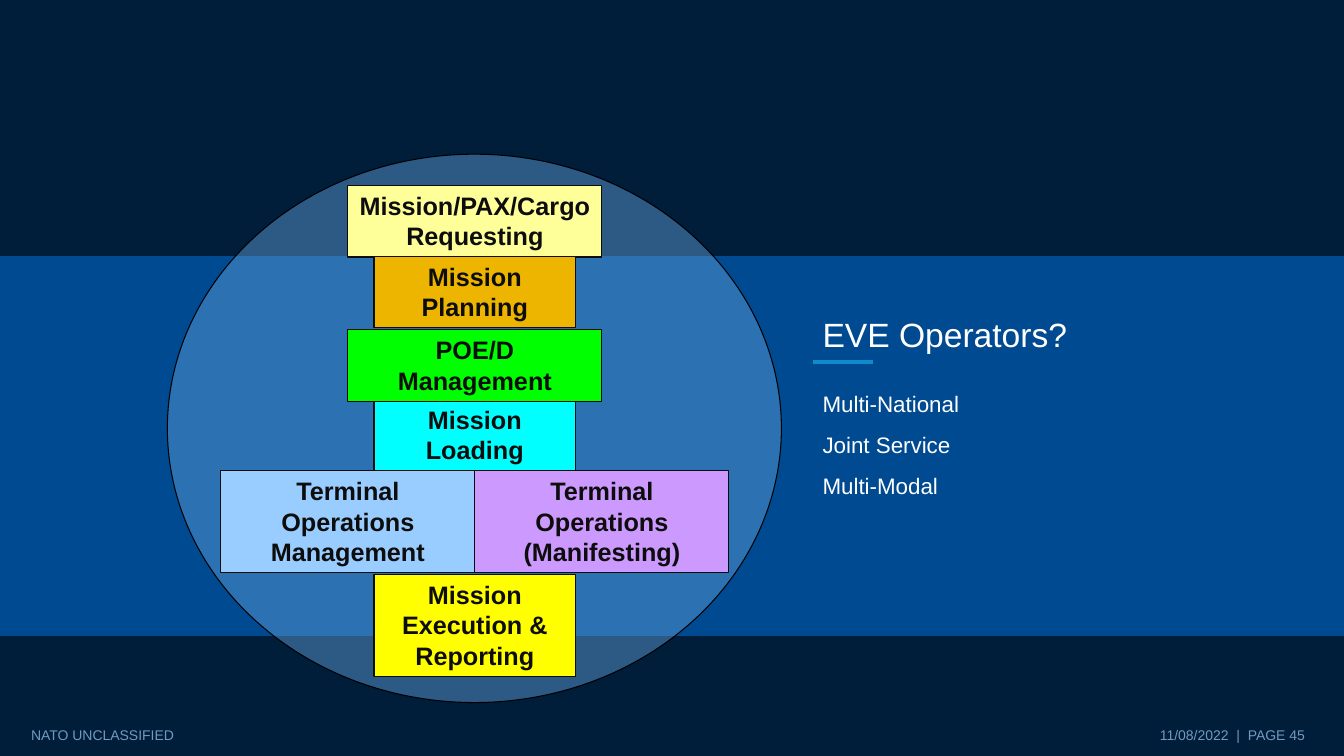
from lxml.etree import SubElement
from pptx import Presentation
from pptx.dml.color import RGBColor
from pptx.enum.shapes import MSO_CONNECTOR, MSO_SHAPE
from pptx.enum.text import MSO_ANCHOR, PP_ALIGN
from pptx.oxml.ns import qn
from pptx.util import Inches, Pt

COLORS = {
    "background": "001D39", "band": "004A91", "accent": "118ACB",
    "footer": "719AC1", "white": "FFFFFF", "ink": "0D0D0D",
    "black": "000000", "circle": "5B9BD5",
    "request": "FFFF99", "plan": "EEB500", "manage": "00FF00",
    "load": "00FFFF", "terminal": "99CCFF", "manifest": "CC99FF",
    "execute": "FFFF00",
}

# Content
TITLE = "EVE Operators?"
OPERATORS = ["Multi-National", "Joint Service", "Multi-Modal"]
CLASSIFICATION = "NATO UNCLASSIFIED"
PAGE_LABEL = "11/08/2022  |  PAGE 45"
WIDE, NARROW = 2.52, 2.0
TWO_LINES, THREE_LINES = 0.71, 1.01
# Each row: top, height, box width, boxes as (text, color)
STACK = [
    (1.84, TWO_LINES, WIDE, [("Mission/PAX/Cargo Requesting", "request")]),
    (2.54, TWO_LINES, NARROW, [("Mission Planning", "plan")]),
    (3.96, TWO_LINES, NARROW, [("Mission Loading", "load")]),
    (3.27, TWO_LINES, WIDE, [("POE/D Management", "manage")]),
    (5.70, THREE_LINES, NARROW, [("Mission Execution & Reporting", "execute")]),
    (4.67, THREE_LINES, WIDE, [("Terminal Operations Management", "terminal"),
                               ("Terminal Operations (Manifesting)", "manifest")]),
]

# Layout
SLIDE_WIDTH, SLIDE_HEIGHT = 13.33, 7.5
STACK_CENTER = 4.71
BAND_TOP, BAND_HEIGHT = 2.54, 3.77
TEXT_LEFT, TEXT_WIDTH = 8.06, 5.2
FOOTER_TOP, FOOTER_HEIGHT = 7.09, 0.4


def color(name):
    return RGBColor.from_string(COLORS[name])


def write(shape, *texts, size, ink, bold=False, align=PP_ALIGN.LEFT,
          anchor=MSO_ANCHOR.TOP, line_spacing=None, gap=0):
    frame = shape.text_frame
    frame.word_wrap = True
    frame.vertical_anchor = anchor
    for index, text in enumerate(texts):
        paragraph = frame.add_paragraph() if index else frame.paragraphs[0]
        paragraph.text = text
        paragraph.alignment = align
        if line_spacing:
            paragraph.line_spacing = Pt(line_spacing)
        if index:
            paragraph.space_before = Pt(gap)
        font = paragraph.font
        font.name, font.size, font.bold = "Arial", Pt(size), bold
        font.color.rgb = color(ink)


def add_block(slide, kind, box, fill, outline=None):
    shape = slide.shapes.add_shape(kind, *map(Inches, box))
    shape.shadow.inherit = False
    shape.fill.solid()
    shape.fill.fore_color.rgb = color(fill)
    if outline:
        shape.line.color.rgb = color(outline)
        shape.line.width = Pt(0.75)
    else:
        shape.line.fill.background()
    return shape


def add_text(slide, box, *texts, **style):
    write(slide.shapes.add_textbox(*map(Inches, box)), *texts, **style)


def main():
    presentation = Presentation()
    presentation.slide_width = Inches(SLIDE_WIDTH)
    presentation.slide_height = Inches(SLIDE_HEIGHT)
    slide = presentation.slides.add_slide(presentation.slide_layouts[6])
    slide.background.fill.solid()
    slide.background.fill.fore_color.rgb = color("background")

    # Band and accent line
    add_block(slide, MSO_SHAPE.RECTANGLE, (0, BAND_TOP, SLIDE_WIDTH, BAND_HEIGHT), "band")
    accent = slide.shapes.add_connector(
        MSO_CONNECTOR.STRAIGHT, *map(Inches, (TEXT_LEFT, 3.59, TEXT_LEFT + 0.6, 3.59)))
    accent.line.color.rgb = color("accent")
    accent.line.width = Pt(2.5)
    SubElement(accent._element.spPr, qn("a:effectLst"))

    # Footer
    footer = dict(size=10, ink="footer", anchor=MSO_ANCHOR.MIDDLE)
    add_text(slide, (0.21, FOOTER_TOP, 4.5, FOOTER_HEIGHT), CLASSIFICATION, **footer)
    add_text(slide, (10.04, FOOTER_TOP, 3, FOOTER_HEIGHT), PAGE_LABEL,
             align=PP_ALIGN.RIGHT, **footer)

    # Title and operator list
    add_text(slide, (TEXT_LEFT, BAND_TOP, TEXT_WIDTH, 1.02), TITLE, size=24,
             ink="white", anchor=MSO_ANCHOR.BOTTOM, line_spacing=28.8)
    add_text(slide, (TEXT_LEFT, 3.82, TEXT_WIDTH, 2.49), *OPERATORS, size=16,
             ink="white", align=PP_ALIGN.JUSTIFY, line_spacing=19.2, gap=10)

    # Translucent circle behind the stack
    circle = add_block(slide, MSO_SHAPE.OVAL, (1.66, 1.53, 6.09, 5.44), "circle", "black")
    fill_color = circle._element.spPr.find(qn("a:solidFill"))[0]
    SubElement(fill_color, qn("a:alpha")).set("val", "49000")

    # Stack of mission steps, each row centred
    for top, height, width, boxes in STACK:
        left = STACK_CENTER - width * len(boxes) / 2
        for column, (text, fill) in enumerate(boxes):
            step = add_block(slide, MSO_SHAPE.RECTANGLE,
                             (left + column * width, top, width, height), fill, "ink")
            write(step, text, size=18, ink="ink", bold=True, align=PP_ALIGN.CENTER)

    presentation.save("out.pptx")


if __name__ == "__main__":
    main()
